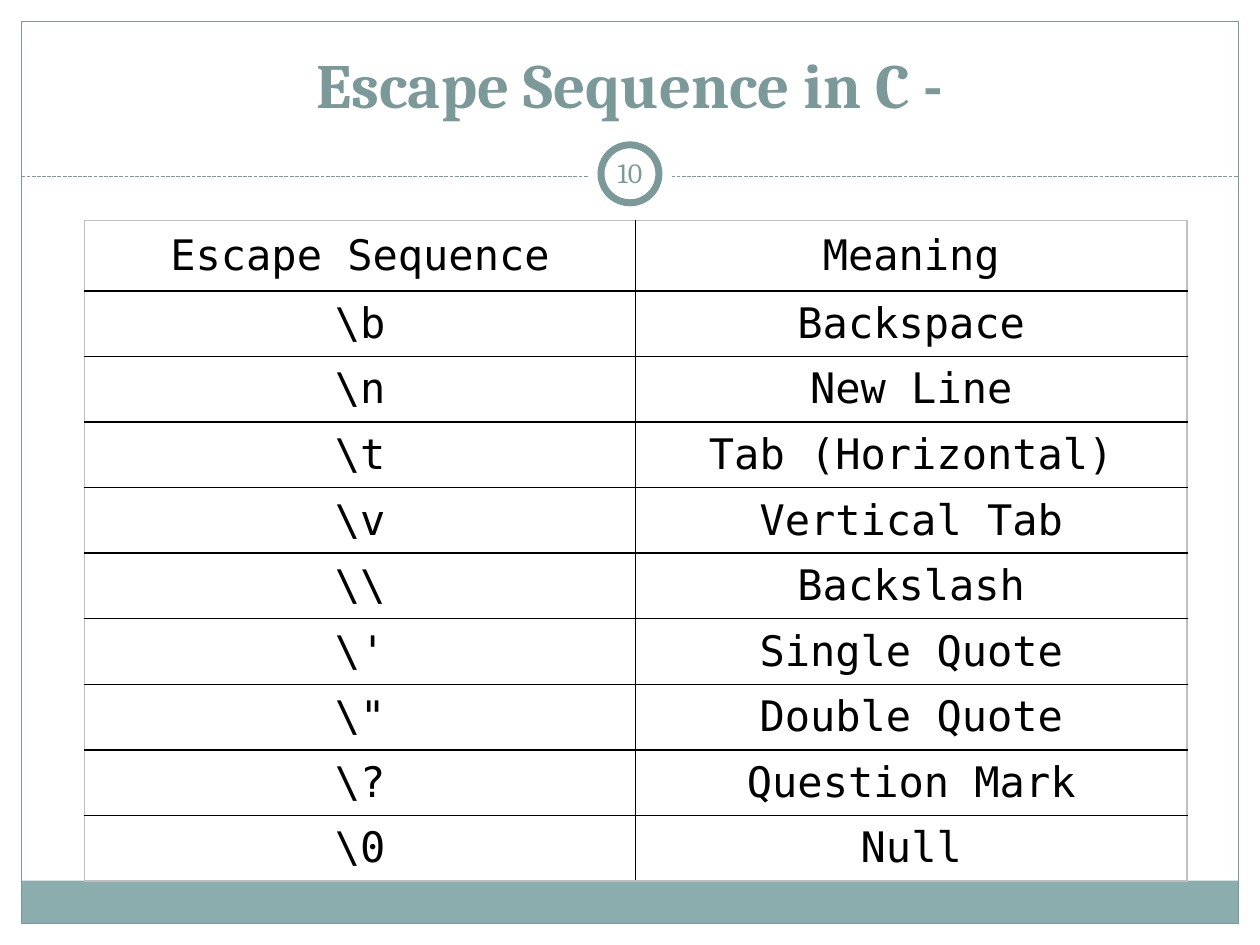
from lxml import etree
from pptx import Presentation
from pptx.dml.color import RGBColor
from pptx.enum.dml import MSO_LINE
from pptx.enum.shapes import MSO_CONNECTOR, MSO_SHAPE
from pptx.enum.text import MSO_ANCHOR, PP_ALIGN
from pptx.oxml.ns import qn
from pptx.util import Inches, Pt

RECTANGLE, OVAL = MSO_SHAPE.RECTANGLE, MSO_SHAPE.OVAL
STRAIGHT, DASH = MSO_CONNECTOR.STRAIGHT, MSO_LINE.SQUARE_DOT
CENTER, MIDDLE, BOTTOM = PP_ALIGN.CENTER, MSO_ANCHOR.MIDDLE, MSO_ANCHOR.BOTTOM

TEAL = RGBColor(0x7C, 0x99, 0x9A)
LIGHT_TEAL = RGBColor(0x8C, 0xAD, 0xAE)
WHITE = RGBColor(0xFF, 0xFF, 0xFF)
BLACK = RGBColor(0x00, 0x00, 0x00)
GRAY = RGBColor(0xBF, 0xBF, 0xBF)

HEADING_FONT = "Cambria"
CODE_FONT = "DejaVu Sans Mono"

ESCAPES = [
    ("Escape Sequence", "Meaning"),
    (r"\b", "Backspace"),
    (r"\n", "New Line"),
    (r"\t", "Tab (Horizontal)"),
    (r"\v", "Vertical Tab"),
    (r"\\", "Backslash"),
    (r"\'", "Single Quote"),
    (r'\"', "Double Quote"),
    (r"\?", "Question Mark"),
    (r"\0", "Null"),
]


def set_text(frame, text, font_name, size, color, bold=False):
    frame.text = text
    paragraph = frame.paragraphs[0]
    paragraph.alignment = CENTER
    font = paragraph.runs[0].font
    font.name, font.size, font.bold = font_name, Pt(size), bold
    font.color.rgb = color


def set_margins(holder, horizontal, vertical):
    holder.margin_left = holder.margin_right = Inches(horizontal)
    holder.margin_top = holder.margin_bottom = Inches(vertical)


def add_plain_shape(slide, preset, box, fill=None, line=None, width=0.75):
    shape = slide.shapes.add_shape(preset, *map(Inches, box))
    shape.shadow.inherit = False
    if fill is None:
        shape.fill.background()
    else:
        shape.fill.solid()
        shape.fill.fore_color.rgb = fill
    if line is None:
        shape.line.fill.background()
    else:
        shape.line.color.rgb = line
        shape.line.width = Pt(width)


def add_frame(slide, left, top, width, height):
    """Outline the slide, with a band at the foot and a dashed rule under the title."""
    band_height = 0.34
    add_plain_shape(slide, RECTANGLE,
                    (left, top + height - band_height, width, band_height), fill=LIGHT_TEAL)
    add_plain_shape(slide, RECTANGLE, (left, top, width, height), line=TEAL)
    rule_y = Inches(1.4)
    rule = slide.shapes.add_connector(STRAIGHT, Inches(left), rule_y,
                                      Inches(left + width), rule_y)
    rule.line.color.rgb = TEAL
    rule.line.width = Pt(0.75)
    rule.line.dash_style = DASH
    etree.SubElement(rule._element.spPr, qn("a:effectLst"))


def add_page_badge(slide, center_x, center_y, number):
    for diameter, outline in ((0.67, None), (0.46, TEAL)):
        corner = (center_x - diameter / 2, center_y - diameter / 2)
        add_plain_shape(slide, OVAL, (*corner, diameter, diameter), WHITE, outline, 4)
    label = slide.shapes.add_textbox(Inches(center_x - 0.25), Inches(center_y - 0.25),
                                     Inches(0.5), Inches(0.48))
    frame = label.text_frame
    frame.word_wrap = True
    frame.vertical_anchor = MIDDLE
    set_margins(frame, 0.05, 0.05)
    set_text(frame, number, HEADING_FONT, 16, TEAL)


def place_title(slide, left, top, width, height, text):
    title = slide.shapes.title
    title.left, title.top = Inches(left), Inches(top)
    title.width, title.height = Inches(width), Inches(height)
    title.text_frame.vertical_anchor = BOTTOM
    set_text(title.text_frame, text, HEADING_FONT, 36, TEAL, bold=True)


def set_border(cell, side, color):
    border = etree.SubElement(cell._tc.get_or_add_tcPr(), qn(f"a:ln{side}"),
                              w=str(Pt(1)))
    fill = etree.SubElement(border, qn("a:solidFill"))
    etree.SubElement(fill, qn("a:srgbClr"), val=str(color))


def add_escape_table(slide, left, top, width, header_height, row_height):
    row_count, column_count = len(ESCAPES), len(ESCAPES[0])
    height = header_height + row_height * (row_count - 1)
    table = slide.shapes.add_table(row_count, column_count, Inches(left), Inches(top),
                                   Inches(width), Inches(height)).table
    table.first_row = table.horz_banding = False
    for r, entry in enumerate(ESCAPES):
        is_header = r == 0
        table.rows[r].height = Inches(header_height if is_header else row_height)
        for c, text in enumerate(entry):
            cell = table.cell(r, c)
            outer_sides = {"L": c == 0, "R": c == column_count - 1,
                           "T": is_header, "B": r == row_count - 1}
            for side, is_outer in outer_sides.items():
                set_border(cell, side, GRAY if is_outer else BLACK)
            cell.fill.background()
            cell.vertical_anchor = MIDDLE
            set_margins(cell, *((0.06, 0.08) if is_header else (0.04, 0.06)))
            set_text(cell.text_frame, text, CODE_FONT, 24, BLACK)


def main():
    presentation = Presentation()
    presentation.slide_width, presentation.slide_height = Inches(10), Inches(7.5)
    slide = presentation.slides.add_slide(presentation.slide_layouts[5])
    add_frame(slide, 0.17, 0.17, 9.66, 7.16)
    add_page_badge(slide, 5, 1.38, "10")
    place_title(slide, 0.69, 0.4, 8.62, 0.61, "Escape Sequence in C -")
    add_escape_table(slide, 0.67, 1.75, 8.75, 0.55, 0.5)
    presentation.save("out.pptx")


if __name__ == "__main__":
    main()
